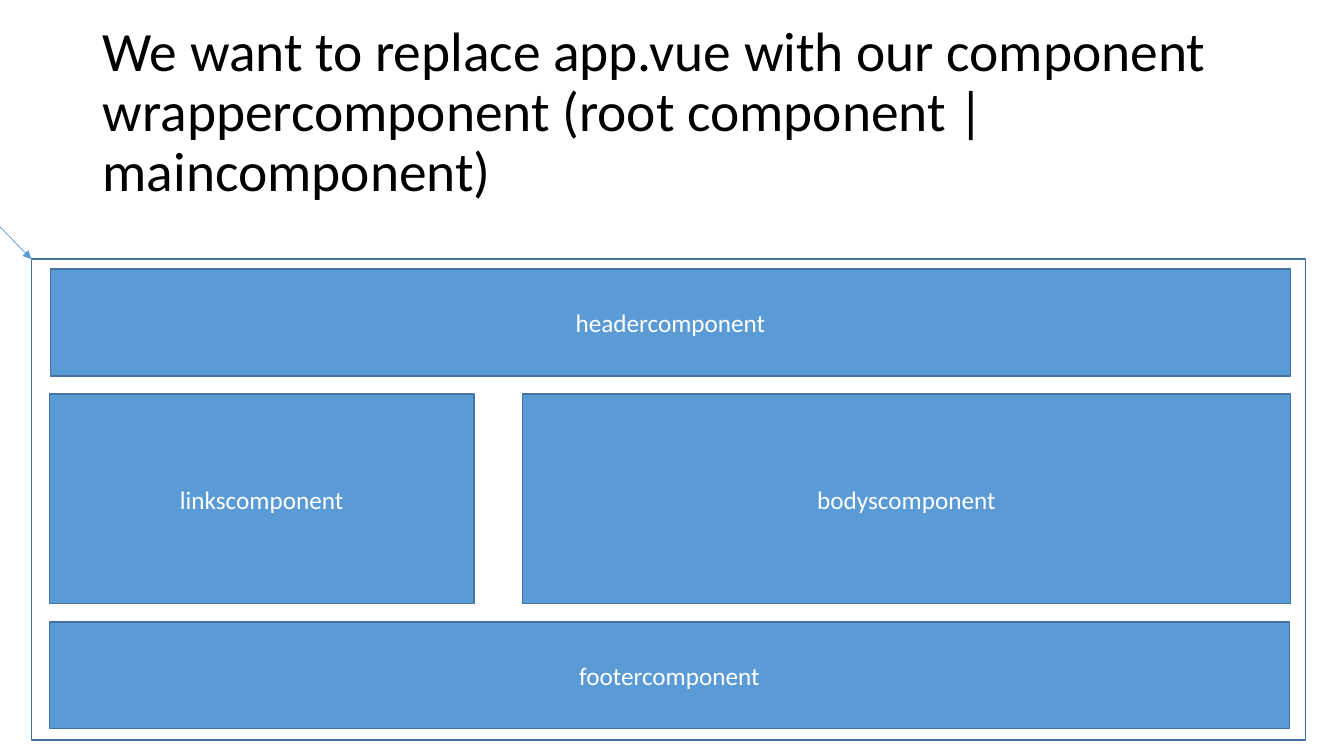
"""Build a slide showing how a wrapper component contains the page components."""
from dataclasses import dataclass

from lxml import etree
from pptx import Presentation
from pptx.enum.shapes import MSO_CONNECTOR, MSO_SHAPE
from pptx.enum.text import MSO_ANCHOR, PP_ALIGN
from pptx.oxml.ns import qn
from pptx.util import Inches, Pt

RECTANGLE = MSO_SHAPE.RECTANGLE
STRAIGHT = MSO_CONNECTOR.STRAIGHT
MIDDLE = MSO_ANCHOR.MIDDLE
CENTER = PP_ALIGN.CENTER

FONT = "Calibri"
COLORS = {"title": "000000", "box": "5B9BD5", "border": "43739E", "label": "FFFFFF"}
TITLE = ("We want to replace app.vue with our component "
         "wrappercomponent (root component | maincomponent)")


@dataclass(frozen=True)
class Box:
    left: float
    top: float
    width: float
    height: float
    label: str = ""


BAR_WIDTH, BAR_HEIGHT = 12.3, 1.06
MIDDLE_TOP, MIDDLE_HEIGHT = 3.91, 2.08
WRAPPER = Box(0.31, 2.57, 12.64, 4.77)
COMPONENTS = [
    Box(0.5, 2.67, BAR_WIDTH, BAR_HEIGHT, "headercomponent"),
    Box(0.49, 6.17, BAR_WIDTH, BAR_HEIGHT, "footercomponent"),
    Box(0.49, MIDDLE_TOP, 4.21, MIDDLE_HEIGHT, "linkscomponent"),
    Box(5.18, MIDDLE_TOP, 7.62, MIDDLE_HEIGHT, "bodyscomponent"),
]


def rgb(name: str):
    """Return the named colour."""
    return RGBColor.from_string(COLORS[name])


def write_text(shape, text: str, size: float, color: str):
    """Write one vertically centred paragraph and return it."""
    frame = shape.text_frame
    frame.word_wrap = True
    frame.vertical_anchor = MIDDLE
    paragraph = frame.paragraphs[0]
    paragraph.text = text
    paragraph.font.name = FONT
    paragraph.font.size = Pt(size)
    paragraph.font.color.rgb = rgb(color)
    return paragraph


def add_title(slide) -> None:
    """Add the title text."""
    shape = slide.shapes.add_textbox(Inches(0.92), Inches(0.4), Inches(11.5), Inches(1.45))
    write_text(shape, TITLE, 39.6, "title").line_spacing = 0.9


def add_box(slide, box: Box) -> None:
    """Draw an outlined box, filled when it has a label."""
    shape = slide.shapes.add_shape(
        RECTANGLE, Inches(box.left), Inches(box.top), Inches(box.width), Inches(box.height))
    shape.shadow.inherit = False
    shape.line.color.rgb = rgb("border")
    shape.line.width = Pt(1)
    if box.label:
        shape.fill.solid()
        shape.fill.fore_color.rgb = rgb("box")
        write_text(shape, box.label, 18, "label").alignment = CENTER
    else:
        shape.fill.background()


def add_arrow(slide, target: Box) -> None:
    """Draw the arrow pointing at the target's top left corner."""
    arrow = slide.shapes.add_connector(
        STRAIGHT, Inches(-1.01), Inches(1.21), Inches(target.left), Inches(target.top))
    arrow.line.color.rgb = rgb("box")
    arrow.line.width = Pt(0.5)
    properties = arrow.element.spPr
    etree.SubElement(properties.find(qn("a:ln")), qn("a:tailEnd"), type="triangle")
    etree.SubElement(properties, qn("a:effectLst"))


def main() -> None:
    """Build and save the presentation."""
    presentation = Presentation()
    presentation.slide_width = Inches(13.33)
    presentation.slide_height = Inches(7.5)
    slide = presentation.slides.add_slide(presentation.slide_layouts[6])
    add_title(slide)
    for box in [WRAPPER, *COMPONENTS]:
        add_box(slide, box)
    add_arrow(slide, WRAPPER)
    presentation.save("out.pptx")


from pptx.dml.color import RGBColor

main()
